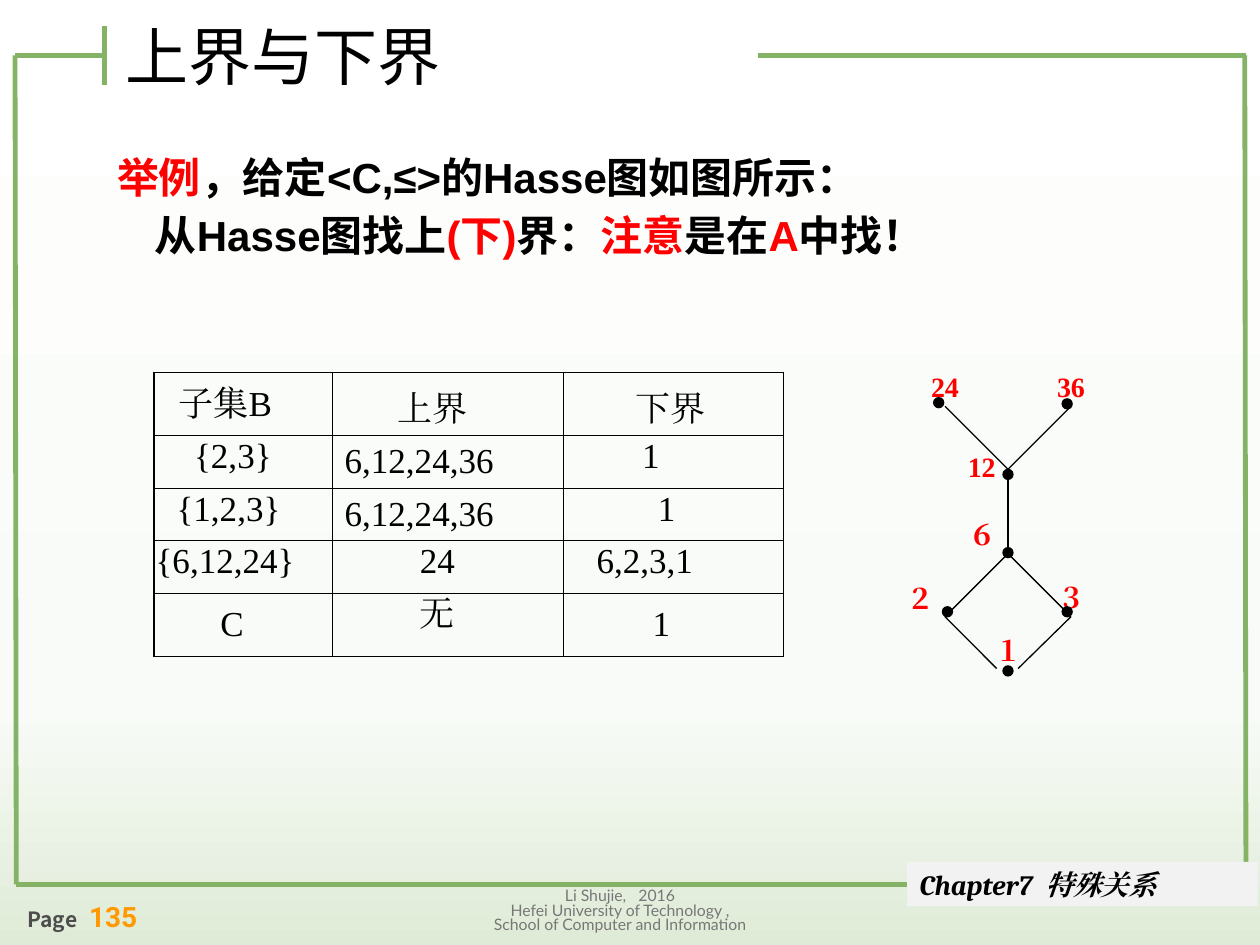
from dataclasses import dataclass

from lxml.etree import SubElement
from pptx import Presentation
from pptx.dml.color import RGBColor
from pptx.enum.shapes import MSO_CONNECTOR, MSO_SHAPE
from pptx.enum.text import MSO_ANCHOR as Anchor, PP_ALIGN as Align
from pptx.oxml.ns import qn
from pptx.util import Pt


@dataclass(frozen=True)
class Theme:
    green: str = "85B365"
    black: str = "000000"
    red: str = "FF0000"
    gray: str = "777777"
    dark: str = "4D4D4D"
    orange: str = "FF9900"
    panel: str = "F2F2F2"
    backdrop: tuple = ((0, "FFFFFF"), (75, "F8FBF7"), (100, "DFEBD7"))
    sans: str = "Arial"
    serif: str = "Times New Roman"
    cjk: str = "Noto Sans CJK SC"
    title: float = 36
    body: float = 24
    cell: float = 20
    label: float = 16
    small: float = 12
    footer: float = 9
    frame_line: float = 2.75
    thin_line: float = 0.75


THEME = Theme()


def add_span(para, text, size, face, color=THEME.black, bold=False, italic=False):
    span = para.add_run()
    span.text = text
    font = span.font
    font.size, font.name, font.bold, font.italic = Pt(size), face, bold, italic
    font.color.rgb = RGBColor.from_string(color)
    SubElement(span._r.get_or_add_rPr(), qn("a:ea"), typeface=face)


def add_box(page, left, top, width, height, anchor=Anchor.TOP):
    box = page.shapes.add_textbox(Pt(left), Pt(top), Pt(width), Pt(height))
    box.text_frame.word_wrap = True
    box.text_frame.vertical_anchor = anchor
    return box.text_frame


def add_line(page, start, end, color, weight):
    line = page.shapes.add_connector(
        MSO_CONNECTOR.STRAIGHT, *(Pt(value) for value in (*start, *end)))
    line.line.color.rgb = RGBColor.from_string(color)
    line.line.width = Pt(weight)
    SubElement(line._element.spPr, qn("a:effectLst"))


def add_solid(page, kind, left, top, width, height, color):
    shape = page.shapes.add_shape(kind, Pt(left), Pt(top), Pt(width), Pt(height))
    shape.shadow.inherit = False
    shape.fill.solid()
    shape.fill.fore_color.rgb = RGBColor.from_string(color)
    shape.line.fill.background()
    return shape


def paint_background(page):
    fill = page.background.fill
    fill.gradient()
    fill.gradient_angle = 270
    stops = page.element.find(".//" + qn("a:gsLst"))
    for stop in list(stops):
        stops.remove(stop)
    for percent, color in THEME.backdrop:
        stop = SubElement(stops, qn("a:gs"), pos=str(percent * 1000))
        SubElement(stop, qn("a:srgbClr"), val=color)


def draw_frame(page, left, top, right, bottom):
    gap_start, gap_end = 59.8, 433.4
    slant = 0.7
    edges = [
        ((left, top), (left + slant, bottom)),
        ((right - slant, top), (right, bottom)),
        ((right, bottom), (left + slant, bottom)),
        ((right, top), (gap_end, top)),
        ((gap_start, top), (left, top)),
        ((gap_start, top - 16.8), (gap_start, top + 17)),
    ]
    for start, end in edges:
        add_line(page, start, end, THEME.green, THEME.frame_line)


def draw_footer(page, left, top, width, height):
    frame = add_box(page, left, top, width, height)
    lines = ["Li Shujie,   2016", "Hefei University of Technology ,",
             "School of Computer and Information"]
    for index, text in enumerate(lines):
        para = frame.add_paragraph() if index else frame.paragraphs[0]
        para.alignment, para.line_spacing = Align.CENTER, 0.75
        add_span(para, text, THEME.footer, "Lato", THEME.gray)


def draw_chapter(page, left, top, width, height):
    panel = add_solid(page, MSO_SHAPE.RECTANGLE, left, top, width, height, THEME.panel)
    panel.text_frame.vertical_anchor = Anchor.MIDDLE
    para = panel.text_frame.paragraphs[0]
    para.alignment = Align.LEFT
    add_span(para, "Chapter7  特殊关系", THEME.label, "Cambria", bold=True, italic=True)


def draw_page_number(page, left, top, width, height):
    para = add_box(page, left, top, width, height).paragraphs[0]
    add_span(para, "Page ", THEME.small, THEME.cjk, THEME.dark, bold=True)
    add_span(para, " ", THEME.label, "Roboto", THEME.orange)
    add_span(para, "135", THEME.label, "Roboto", THEME.orange, bold=True)


def draw_title(page, left, top, width, height):
    frame = add_box(page, left, top, width, height, Anchor.MIDDLE)
    add_span(frame.paragraphs[0], "上界与下界", THEME.title, THEME.cjk)


def draw_intro(page, left, top, width, height):
    frame = add_box(page, left, top, width, height)
    black, red = THEME.black, THEME.red
    first = [("举例", red), ("，给定<C,≤>的Hasse图如图所示：", black)]
    second = [("从Hasse图找上", black), ("(下)", red), ("界：", black),
              ("注意", red), ("是在", black), ("A", red), ("中找！", black)]
    for index, spans in enumerate((first, second)):
        para = frame.add_paragraph() if index else frame.paragraphs[0]
        if index:
            para.space_before = Pt(4.8)
            para._p.get_or_add_pPr().set("marL", str(Pt(21.6)))
        for text, color in spans:
            add_span(para, text, THEME.body, THEME.sans, color, bold=True)


def style_cell(cell, text, indent, shift):
    cell.fill.background()
    cell.vertical_anchor = Anchor.MIDDLE
    cell.margin_left, cell.margin_right = Pt(indent), Pt(0)
    cell.margin_top, cell.margin_bottom = Pt(max(0, 2 * shift)), Pt(max(0, -2 * shift))
    add_span(cell.text_frame.paragraphs[0], text, THEME.cell, THEME.serif)
    props = cell._tc.get_or_add_tcPr()
    for index, side in enumerate(("a:lnL", "a:lnR", "a:lnT", "a:lnB")):
        border = props.makeelement(qn(side), {"w": str(Pt(THEME.thin_line))})
        SubElement(SubElement(border, qn("a:solidFill")), qn("a:srgbClr"), val=THEME.black)
        props.insert(index, border)


def draw_bounds_table(page, left, top, widths, heights):
    rows = [
        [("子集B", 14, 0), ("上界", 37, 3), ("下界", 41, 3)],
        [("{2,3}", 23, -3), ("6,12,24,36", 7, 0), ("1", 45, -3)],
        [("{1,2,3}", 13, -3), ("6,12,24,36", 7, 0), ("1", 54, -3)],
        [("{6,12,24}", 1, -3), ("24", 50, -3), ("6,2,3,1", 19, -3)],
        [("C", 38, 0), ("无", 50, -6), ("1", 51, 0)],
    ]
    table = page.shapes.add_table(
        len(heights), len(widths), Pt(left), Pt(top),
        Pt(sum(widths)), Pt(sum(heights))).table
    table.first_row = table.horz_banding = False
    for column, width in zip(table.columns, widths):
        column.width = Pt(width)
    for row, height, cells in zip(table.rows, heights, rows):
        row.height = Pt(height)
        for cell, (text, indent, shift) in zip(row.cells, cells):
            style_cell(cell, text, indent, shift)


def draw_hasse(page, left, top):
    dot = 6.5
    nodes = [
        ("24", (46.4, 22.7), (14, 0)),
        ("36", (119.8, 23.4), (86, 0)),
        ("12", (86, 63.7), (35, 46)),
        ("６", (86, 108.4), (35.6, 84.5)),
        ("２", (51.4, 142.2), (0, 121)),
        ("３", (119.8, 142.2), (86, 120.6)),
        ("１", (86, 176), (50, 151)),
    ]
    fork, join, low_left, low_right = (86, 60.8), (86, 109), (50, 145), (122, 145)
    edges = [
        ((50, 24.8), fork), ((122, 24.8), fork), ((86, 66.6), join),
        (join, low_left), (join, low_right),
        ((79.5, 174.6), low_left), ((91.8, 174.6), low_right),
    ]
    for text, _, (x, y) in nodes:
        frame = add_box(page, left + x, top + y, 72, 26.6, Anchor.MIDDLE)
        frame.paragraphs[0].alignment = Align.CENTER
        add_span(frame.paragraphs[0], text, THEME.label, THEME.serif, THEME.red, bold=True)
    for start, end in edges:
        add_line(page, (left + start[0], top + start[1]),
                 (left + end[0], top + end[1]), THEME.black, THEME.thin_line)
    for _, (x, y), _ in nodes:
        add_solid(page, MSO_SHAPE.OVAL, left + x - dot / 2, top + y - dot / 2,
                  dot, dot, THEME.black)


def main():
    deck = Presentation()
    deck.slide_width, deck.slide_height = Pt(720), Pt(540)
    page = deck.slides.add_slide(deck.slide_layouts[6])
    paint_background(page)
    draw_footer(page, 252, 505.4, 204.5, 31.7)
    draw_frame(page, 8.6, 31.7, 712, 505.4)
    draw_chapter(page, 518.4, 492.5, 200.2, 25.2)
    draw_page_number(page, 8.6, 510.5, 102.2, 26.6)
    draw_title(page, 64.8, 15.1, 357, 33.1)
    draw_intro(page, 59.8, 82.8, 532.8, 71.3)
    draw_bounds_table(page, 88, 213, (102, 132, 126), (36, 30, 30, 30, 36))
    draw_hasse(page, 490, 207.4)
    deck.save("out.pptx")


if __name__ == "__main__":
    main()
